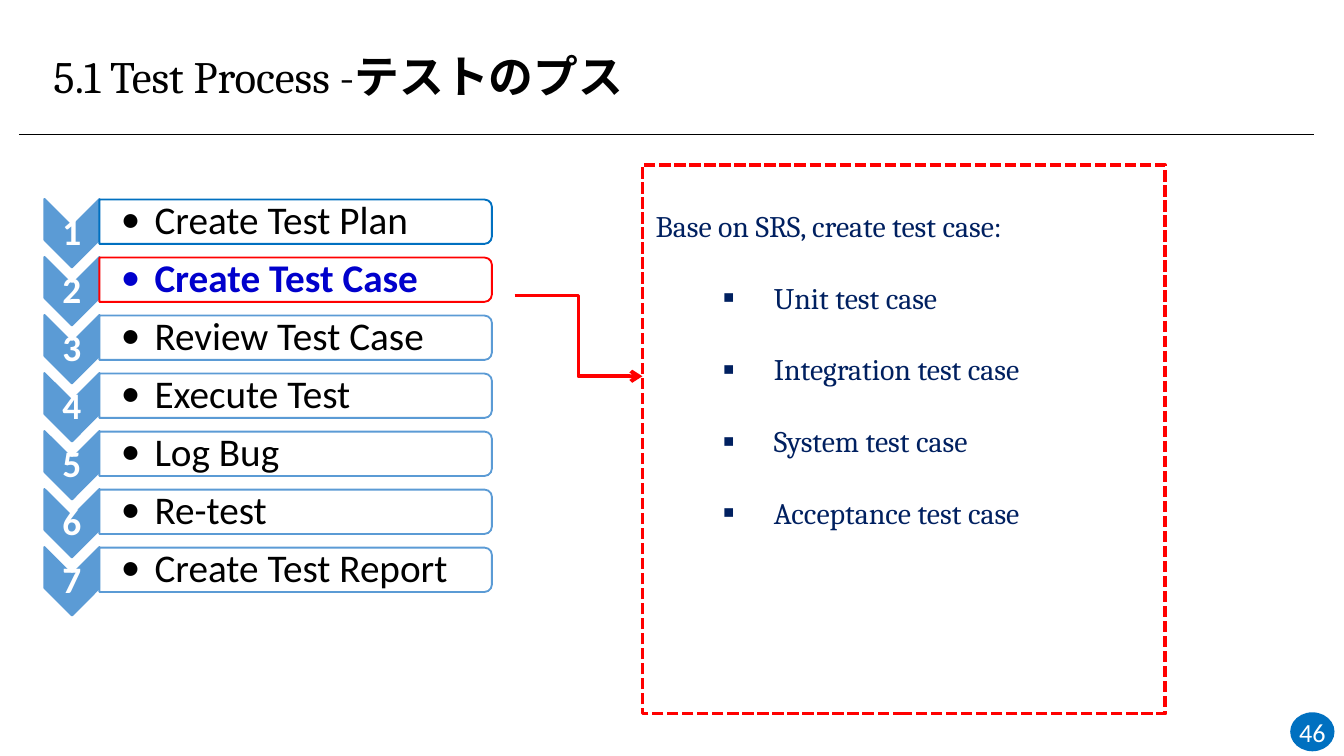
from lxml import etree
from pptx import Presentation
from pptx.dml.color import RGBColor
from pptx.enum.dml import MSO_LINE
from pptx.enum.shapes import MSO_CONNECTOR, MSO_SHAPE
from pptx.enum.text import MSO_ANCHOR, PP_ALIGN
from pptx.oxml.ns import qn
from pptx.util import Inches, Pt

LEFT, CENTER = PP_ALIGN.LEFT, PP_ALIGN.CENTER
TOP, MIDDLE = MSO_ANCHOR.TOP, MSO_ANCHOR.MIDDLE
STRAIGHT, ELBOW = MSO_CONNECTOR.STRAIGHT, MSO_CONNECTOR.ELBOW
CHEVRON, OVAL = MSO_SHAPE.CHEVRON, MSO_SHAPE.OVAL
RECT, ROUND_TOP = MSO_SHAPE.RECTANGLE, MSO_SHAPE.ROUND_2_SAME_RECTANGLE
SYS_DASH = MSO_LINE.SQUARE_DOT

COLORS = {
    "black": "000000", "white": "FFFFFF", "sky": "5B9BD5", "blue": "0070C0",
    "red": "FF0000", "focus": "0000CC", "navy": "002060",
}
TITLE = ("5.1 Test Process -", "テストのプス")
STEPS = [
    ("Create Test Plan", "blue"),
    ("Create Test Case", "red"),
    ("Review Test Case", "sky"),
    ("Execute Test", "sky"),
    ("Log Bug", "sky"),
    ("Re-test", "sky"),
    ("Create Test Report", "sky"),
]
CURRENT_STEP = "Create Test Case"
PANEL_HEAD = "Base on SRS, create test case:"
PANEL_ITEMS = ["Unit test case", "Integration test case",
               "System test case", "Acceptance test case"]
PAGE = "46"

FIRST_TOP, LAST_TOP = 1.53, 4.12
PITCH = (LAST_TOP - FIRST_TOP) / (len(STEPS) - 1)
CHEVRON_W, CHEVRON_H = 0.51, 0.41
BAR_LEFT, BAR_W, BAR_H = 0.74, 2.92, 0.33


def rgb(name):
    return RGBColor.from_string(COLORS[name])


def add_text(p, text, size=16, font="Calibri", color="black", bold=False,
             align=LEFT, spacing=None, bullet=None, margin=0, hang=0):
    p.alignment = align
    if spacing:
        p.line_spacing = spacing
    if bullet:
        pPr = p._p.get_or_add_pPr()
        pPr.set("marL", str(Inches(margin)))
        pPr.set("indent", str(-Inches(hang)))
        etree.SubElement(pPr, qn("a:buFont")).set("typeface", font)
        etree.SubElement(pPr, qn("a:buChar")).set("char", bullet)
    r = p.add_run()
    r.text = text
    r.font.size, r.font.name, r.font.bold = Pt(size), font, bold
    r.font.color.rgb = rgb(color)


def set_frame(s, anchor, insets=(0.1, 0.05, 0.1, 0.05)):
    tf = s.text_frame
    tf.word_wrap = True
    tf.vertical_anchor = anchor
    tf.margin_left, tf.margin_top, tf.margin_right, tf.margin_bottom = map(Inches, insets)
    return tf


def add_box(slide, box, anchor, **kw):
    return set_frame(slide.shapes.add_textbox(*map(Inches, box)), anchor, **kw)


def add_shape(slide, kind, box, fill=None, line=None, width=1, alpha=None, turn=0):
    s = slide.shapes.add_shape(kind, *map(Inches, box))
    s.shadow.inherit = False
    s.rotation = turn
    if fill:
        s.fill.solid()
        s.fill.fore_color.rgb = rgb(fill)
        if alpha:
            clr = s._element.spPr.find(qn("a:solidFill"))[0]
            etree.SubElement(clr, qn("a:alpha")).set("val", str(alpha * 1000))
    else:
        s.fill.background()
    if line:
        s.line.color.rgb = rgb(line)
        s.line.width = Pt(width)
    else:
        s.line.fill.background()
    return s


def add_line(slide, kind, ends, color, width, arrow=False):
    s = slide.shapes.add_connector(kind, *map(Inches, ends))
    s.line.color.rgb = rgb(color)
    s.line.width = Pt(width)
    spPr = s._element.spPr
    if arrow:
        etree.SubElement(spPr.find(qn("a:ln")), qn("a:tailEnd")).set("type", "arrow")
    etree.SubElement(spPr, qn("a:effectLst"))


def add_step(slide, i, label, outline):
    top = FIRST_TOP + i * PITCH
    add_shape(slide, CHEVRON, (0.28, top, CHEVRON_W, CHEVRON_H), "sky", "sky", turn=90)
    tight = (0.01,) * 4
    tf = add_box(slide, (0.33, top + 0.13, 0.41, 0.15), MIDDLE, insets=tight)
    add_text(tf.paragraphs[0], str(i + 1), size=20, color="white", bold=True,
             align=CENTER, spacing=0.9)

    bar_center = top + 0.12
    bar_x = BAR_LEFT + BAR_W / 2 - BAR_H / 2
    add_shape(slide, ROUND_TOP, (bar_x, bar_center - BAR_W / 2, BAR_H, BAR_W),
              "white", outline, alpha=90, turn=90)
    tf = add_box(slide, (BAR_LEFT, bar_center - 0.15, 2.9, 0.3), MIDDLE,
                 insets=(0.16, 0.01, 0.01, 0.01))
    current = label == CURRENT_STEP
    add_text(tf.paragraphs[0], label, size=21, color="focus" if current else "black",
             bold=current, spacing=0.9, bullet="•", margin=0.25, hang=0.25)


def main():
    prs = Presentation()
    prs.slide_width = Inches(10)
    prs.slide_height = prs.slide_width * 9 // 16
    slide = prs.slides.add_slide(prs.slide_layouts[6])

    add_line(slide, STRAIGHT, (0.14, 1, 9.78, 1), "black", 0.5)
    p = add_box(slide, (0.3, 0.31, 9.33, 0.68), TOP).paragraphs[0]
    for text, bold in zip(TITLE, (False, True)):
        add_text(p, text, size=24, font="Cambria", bold=bold)

    for i, (label, outline) in enumerate(STEPS):
        add_step(slide, i, label, outline)

    add_line(slide, ELBOW, (3.83, 2.2, 4.78, 2.8), "red", 2, arrow=True)
    panel = add_shape(slide, RECT, (4.78, 1.23, 3.89, 4.08), line="red", width=2)
    panel.line.dash_style = SYS_DASH
    tf = set_frame(panel, TOP)
    style = {"font": "Cambria", "color": "navy", "spacing": 2.0}
    add_text(tf.paragraphs[0], PANEL_HEAD, **style)
    for item in PANEL_ITEMS:
        add_text(tf.add_paragraph(), item, bullet="▪", margin=0.88, hang=0.38, **style)

    badge = add_shape(slide, OVAL, (9.6, 5.3, 0.33, 0.29), "blue")
    tf = set_frame(badge, MIDDLE, insets=(0,) * 4)
    add_text(tf.paragraphs[0], PAGE, size=14, color="white", align=CENTER)

    prs.save("out.pptx")


if __name__ == "__main__":
    main()
